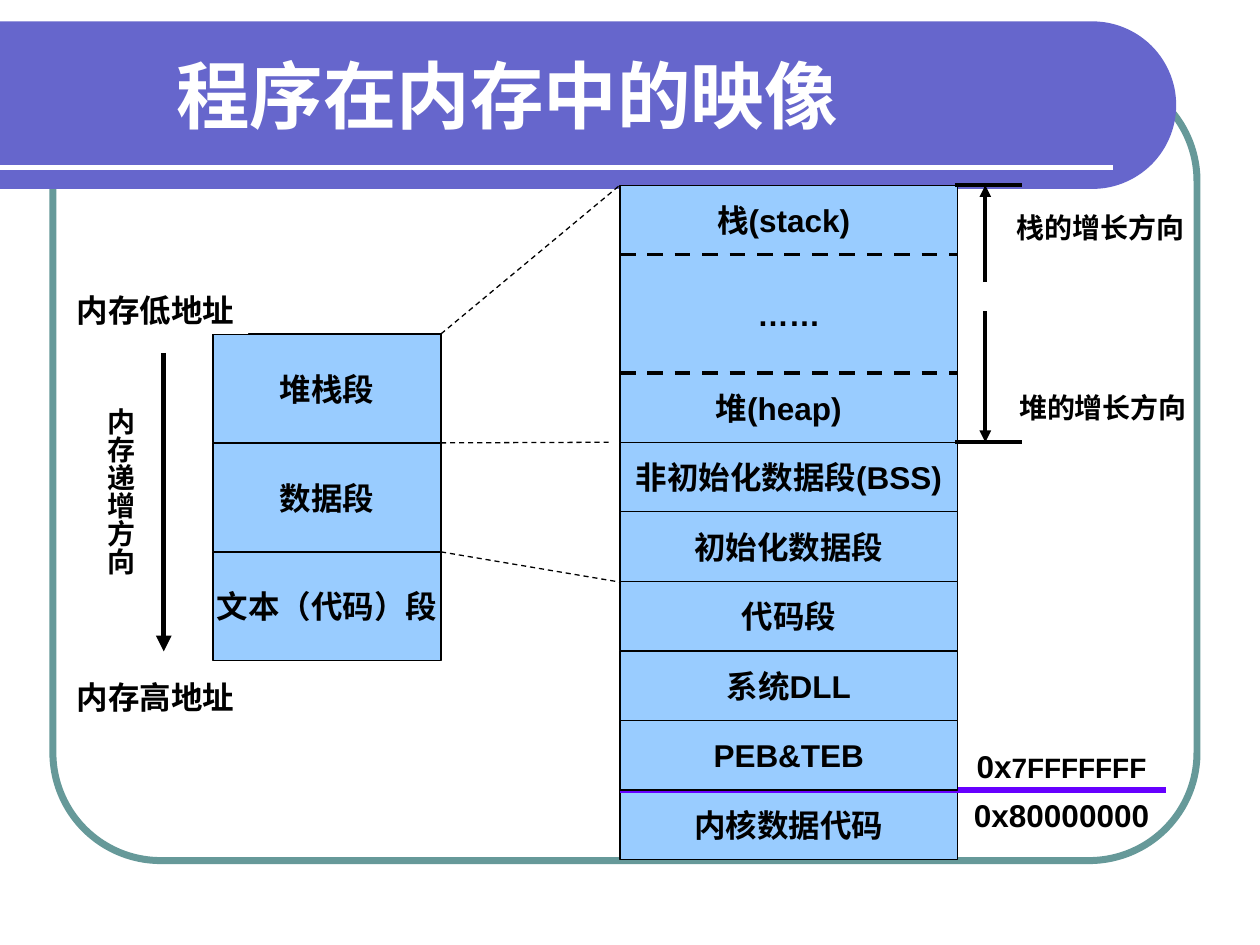
"""Build a slide showing how a program is laid out in memory."""
import math

import pptx
import pptx.util
import pptx.dml.color
import pptx.enum.dml
import pptx.enum.shapes
import pptx.enum.text
import pptx.oxml
import pptx.oxml.ns

Inches = pptx.util.Inches
Pt = pptx.util.Pt
Align = pptx.enum.text.PP_ALIGN
Anchor = pptx.enum.text.MSO_ANCHOR
Shape = pptx.enum.shapes.MSO_SHAPE

COLORS = {
    "band": "6666CC",
    "frame": "669999",
    "block": "99CCFF",
    "boundary": "6600FF",
    "ink": "000000",
    "paper": "FFFFFF",
}
SEGMENT_LEFT, SEGMENT_RIGHT, SEGMENT_TOP, SEGMENT_HEIGHT = 1.69, 3.5, 2.65, 0.865
MAP_LEFT, MAP_WIDTH, MAP_TOP = 4.92, 2.68, 1.47
MAP_RIGHT = MAP_LEFT + MAP_WIDTH
HEAP_END, ROW_HEIGHT = 3.51, 0.552
KERNEL_TOP = HEAP_END + 5 * ROW_HEIGHT


def color(name):
    return pptx.dml.color.RGBColor.from_string(COLORS[name])


def paint(shape, fill=None, line=None, width=0.75):
    shape.shadow.inherit = False
    if fill:
        shape.fill.solid()
        shape.fill.fore_color.rgb = color(fill)
    else:
        shape.fill.background()
    if line:
        shape.line.color.rgb = color(line)
        shape.line.width = Pt(width)
    else:
        shape.line.fill.background()


def write(box, spans, align, anchor, font="Arial", ink="ink", wrap=True):
    frame = box.text_frame
    frame.word_wrap = wrap
    frame.vertical_anchor = anchor
    para = frame.paragraphs[0]
    para.alignment = align
    for text, size in spans:
        span = para.add_run()
        span.text = text
        span.font.name = font
        span.font.size = Pt(size)
        span.font.bold = True
        span.font.color.rgb = color(ink)


def add_block(page, text, left, top, width, height):
    block = page.shapes.add_shape(
        Shape.RECTANGLE, Inches(left), Inches(top), Inches(width), Inches(height))
    paint(block, "block", "ink")
    write(block, [(text, 18)], Align.CENTER, Anchor.MIDDLE, wrap=False)


def add_text(page, spans, left, top, width, height, align=Align.CENTER,
             anchor=Anchor.MIDDLE, **style):
    box = page.shapes.add_textbox(Inches(left), Inches(top), Inches(width), Inches(height))
    write(box, spans, align, anchor, **style)
    return box


def add_label(page, text, size, left, top, width, height, fill=None, vertical=False):
    box = add_text(page, [(text, size)], left, top, width, height,
                   Align.JUSTIFY, Anchor.TOP, font="Times New Roman")
    if fill:
        box.fill.solid()
        box.fill.fore_color.rgb = color(fill)
    if vertical:
        box.element.txBody.bodyPr.set("vert", "eaVert")


def add_line(page, start, end, width, ink="ink", dashed=False, arrow=False):
    line = page.shapes.add_connector(
        pptx.enum.shapes.MSO_CONNECTOR.STRAIGHT, *map(Inches, start + end))
    line.line.color.rgb = color(ink)
    line.line.width = Pt(width)
    if dashed:
        line.line.dash_style = pptx.enum.dml.MSO_LINE.DASH
    if arrow:
        tail = pptx.oxml.parse_xml(
            f'<a:tailEnd {pptx.oxml.ns.nsdecls("a")} type="triangle"/>')
        line.line._get_or_add_ln().append(tail)
    effects = pptx.oxml.parse_xml(f'<a:effectLst {pptx.oxml.ns.nsdecls("a")}/>')
    line.element.spPr.append(effects)


def add_backdrop(page):
    frame = page.shapes.add_shape(
        Shape.ROUNDED_RECTANGLE, Inches(0.42), Inches(0.58), Inches(9.08), Inches(6.25))
    frame.adjustments[0] = 0.137
    paint(frame, line="frame", width=4)

    center_x, center_y, radius = 8.67, 0.835, 0.665
    angles = [math.radians(degree) for degree in range(-90, 91, 3)]
    points = [(Inches(center_x + radius * math.cos(angle)),
               Inches(center_y + radius * math.sin(angle))) for angle in angles]
    builder = page.shapes.build_freeform(0, Inches(center_y - radius))
    builder.add_line_segments(points + [(0, Inches(center_y + radius))], close=True)
    paint(builder.convert_to_shape(), "band")
    add_line(page, (0, 1.33), (8.83, 1.33), 3, "paper")
    add_text(page, [("程序在内存中的映像", 42)], 1.3, 0.25, 7.68, 1,
             align=Align.LEFT, ink="paper")


def add_segments(page):
    for index, text in enumerate(["堆栈段", "数据段", "文本（代码）段"]):
        add_block(page, text, SEGMENT_LEFT, SEGMENT_TOP + index * SEGMENT_HEIGHT,
                  SEGMENT_RIGHT - SEGMENT_LEFT, SEGMENT_HEIGHT)
    for text, top in [("内存低地址", 2.26), ("内存高地址", 5.33)]:
        add_label(page, text, 18, 0.51, top, 1.46, 0.39, "paper")
    add_line(page, (1.3, 2.8), (1.3, 5.17), 3, arrow=True)
    add_label(page, "内存递增方向", 16, 0.61, 3.14, 0.53, 1.95, "paper", True)


def add_memory_map(page):
    add_block(page, "……", MAP_LEFT, MAP_TOP, MAP_WIDTH, HEAP_END - MAP_TOP)
    add_text(page, [("栈(stack)", 18)], 4.92, 1.39, 2.6, 0.71, wrap=False)
    add_text(page, [("堆(heap)", 18)], 4.84, 2.88, 2.68, 0.71, wrap=False)
    for y in (2.02, 2.96):
        add_line(page, (MAP_LEFT, y), (MAP_RIGHT, y), 2.25, dashed=True)

    add_block(page, "内核数据代码", MAP_LEFT, KERNEL_TOP, MAP_WIDTH, ROW_HEIGHT)
    add_line(page, (9.25, KERNEL_TOP), (MAP_LEFT, KERNEL_TOP), 3, "boundary")
    rows = ["非初始化数据段(BSS)", "初始化数据段", "代码段", "系统DLL", "PEB&TEB"]
    for index, text in enumerate(rows):
        add_block(page, text, MAP_LEFT, HEAP_END + index * ROW_HEIGHT,
                  MAP_WIDTH, ROW_HEIGHT)
    add_text(page, [("0x", 18), ("7FFFFFFF", 16)], 7.36, 5.88, 2.13, 0.4,
             anchor=Anchor.TOP)
    add_text(page, [("0x80000000", 18)], 7.44, KERNEL_TOP, 1.97, 0.4,
             anchor=Anchor.TOP)


def add_growth_marks(page):
    for y, start in [(MAP_TOP, 2.24), (HEAP_END, 2.47)]:
        add_line(page, (7.58, y), (8.11, y), 2.25)
        add_line(page, (7.82, start), (7.82, y), 2.25, arrow=True)
    add_label(page, "栈的增长方向", 16, 7.97, 1.62, 1.6, 0.39)
    add_label(page, "堆的增长方向", 16, 7.99, 3.05, 1.6, 0.39)


def add_projection(page):
    ends = [(MAP_LEFT, MAP_TOP), (4.84, HEAP_END), (MAP_LEFT, 4.62)]
    for index, end in enumerate(ends):
        start = (SEGMENT_RIGHT, SEGMENT_TOP + index * SEGMENT_HEIGHT)
        add_line(page, start, end, 0.75, dashed=True)


def main():
    deck = pptx.Presentation()
    deck.slide_width, deck.slide_height = Inches(10), Inches(7.5)
    page = deck.slides.add_slide(deck.slide_layouts[6])
    add_backdrop(page)
    add_segments(page)
    add_memory_map(page)
    add_growth_marks(page)
    add_projection(page)
    deck.save("out.pptx")


if __name__ == "__main__":
    main()
